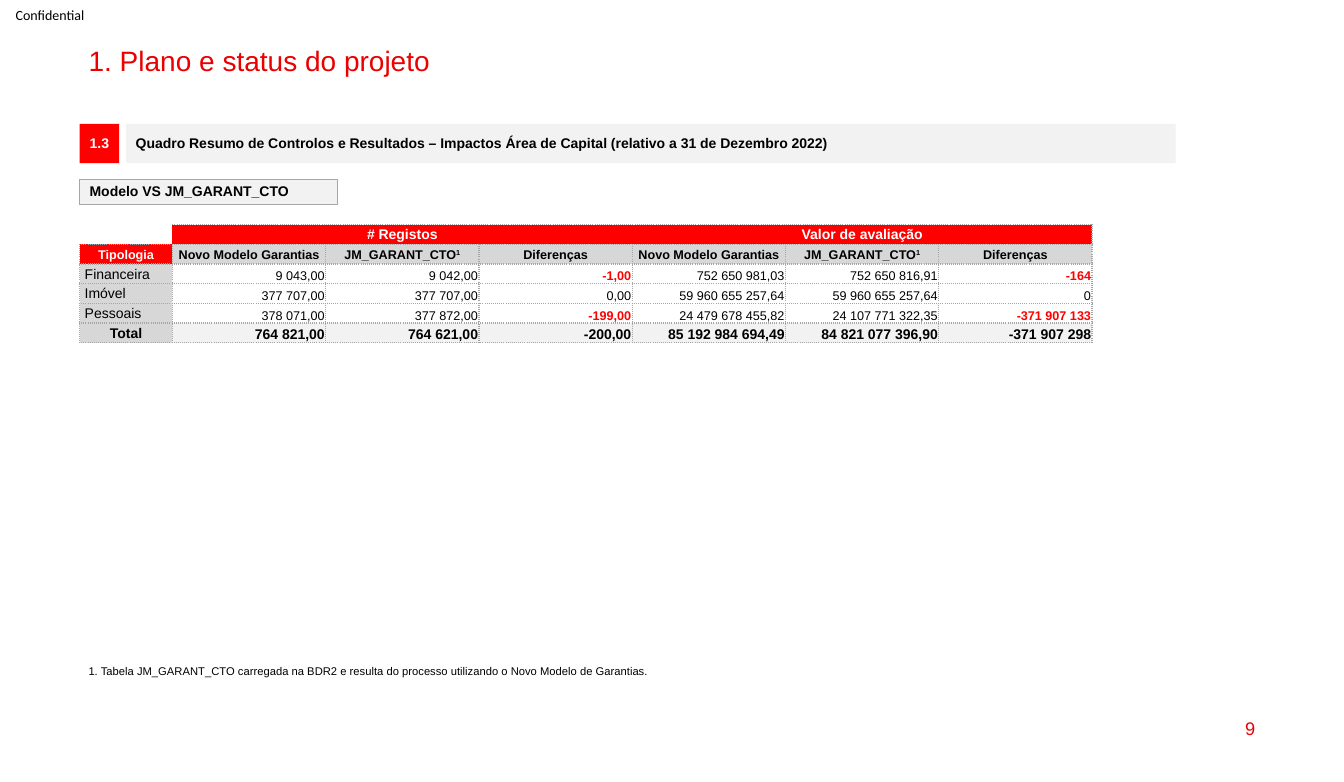
from lxml import etree
from pptx import Presentation
from pptx import util as u
from pptx.dml.color import RGBColor
from pptx.enum import shapes, text
from pptx.oxml.ns import qn

WIDTH, HEIGHT = u.Inches(13.33), u.Inches(7.76)
COLORS = {"title": "EB0000", "red": "FF0000", "white": "FFFFFF", "black": "000000",
          "pale": "F2F2F2", "label": "D7D7D7", "border": "A6A6A6"}
LEFT, CENTER, RIGHT = text.PP_ALIGN.LEFT, text.PP_ALIGN.CENTER, text.PP_ALIGN.RIGHT
TOP, MIDDLE, BOTTOM = (text.MSO_ANCHOR.TOP, text.MSO_ANCHOR.MIDDLE,
                       text.MSO_ANCHOR.BOTTOM)

GROUPS = ["# Registos", "Valor de avaliação"]
MEASURES = ["Novo Modelo Garantias", "JM_GARANT_CTO^1", "Diferenças"]
RECORDS = [
    ["Financeira", "9 043,00", "9 042,00", "-1,00",
     "752 650 981,03", "752 650 816,91", "-164"],
    ["Imóvel", "377 707,00", "377 707,00", "0,00",
     "59 960 655 257,64", "59 960 655 257,64", "0"],
    ["Pessoais", "378 071,00", "377 872,00", "-199,00",
     "24 479 678 455,82", "24 107 771 322,35", "-371 907 133"],
]
TOTAL = ["Total", "764 821,00", "764 621,00", "-200,00",
         "85 192 984 694,49", "84 821 077 396,90", "-371 907 298"]


def area(left, top, width, height):
    """Turn percentages of the slide into a box in EMU."""
    return (int(WIDTH * left / 100), int(HEIGHT * top / 100),
            int(WIDTH * width / 100), int(HEIGHT * height / 100))


def rgb(name):
    return RGBColor.from_string(COLORS[name])


def write(para, words, size, color="black", bold=False, align=LEFT, font="Arial"):
    """Add runs to a paragraph; the part after ^ is superscript."""
    para.alignment = align
    for index, part in enumerate(words.split("^")):
        span = para.add_run()
        span.text = part
        span.font.name, span.font.size, span.font.bold = font, u.Pt(size), bold
        span.font.color.rgb = rgb(color)
        if index:
            span.font._element.set("baseline", "30000")


def add_text(page, box, words, size, anchor=TOP, wrap=True, inset=0.1, **style):
    frame = page.shapes.add_textbox(*box).text_frame
    frame.word_wrap = wrap
    frame.vertical_anchor = anchor
    frame.margin_left = frame.margin_right = u.Inches(inset)
    frame.margin_top = frame.margin_bottom = u.Inches(inset / 2)
    write(frame.paragraphs[0], words, size, **style)


def add_panel(page, box, words, fill, line=None, color="black", align=LEFT):
    panel = page.shapes.add_shape(shapes.MSO_SHAPE.RECTANGLE, *box)
    panel.shadow.inherit = False
    panel.fill.solid()
    panel.fill.fore_color.rgb = rgb(fill)
    if line:
        panel.line.color.rgb = rgb(line)
        panel.line.width = u.Pt(0.75)
    else:
        panel.line.fill.background()
    frame = panel.text_frame
    frame.word_wrap = True
    frame.vertical_anchor = MIDDLE
    para = frame.paragraphs[0]
    para.line_spacing = 0.9
    write(para, words, 10, color, True, align)


def add_section_bar(page, box, number, heading):
    """Square numbered badge followed by a heading bar."""
    left, top, width, height = box
    offset = int(height * 1.17)
    add_panel(page, (left, top, height, height), number, "red",
              color="white", align=CENTER)
    add_panel(page, (left + offset, top, width - offset, height), heading, "pale")


def set_borders(cell, sides):
    """Dot the given sides (from L, R, T, B) and clear the others."""
    properties = cell._tc.get_or_add_tcPr()
    for side in "LRTB":
        line = etree.SubElement(properties, qn("a:ln" + side), w=str(u.Pt(1)))
        if side in sides:
            fill = etree.SubElement(line, qn("a:solidFill"))
            etree.SubElement(fill, qn("a:srgbClr"), val=COLORS["border"])
            etree.SubElement(line, qn("a:prstDash"), val="sysDot")
        else:
            etree.SubElement(line, qn("a:noFill"))


def fill_cell(cell, words, fill, size=9, anchor=MIDDLE, indent=0.01, **style):
    cell.fill.solid()
    cell.fill.fore_color.rgb = rgb(fill)
    cell.vertical_anchor = anchor
    cell.margin_left = u.Inches(indent)
    write(cell.text_frame.paragraphs[0], words, size, **style)


def add_summary_table(page, box):
    left, top, width, height = box
    row_count, column_count = len(RECORDS) + 3, 1 + len(GROUPS) * len(MEASURES)
    table = page.shapes.add_table(row_count, column_count, *box).table
    table.first_row = table.horz_banding = False
    label_width = int(width * 0.0916)
    for index, column in enumerate(table.columns):
        column.width = (width - label_width) // (column_count - 1) if index else label_width
    for row_index, row in enumerate(table.rows):
        row.height = height // row_count
        for column_index, cell in enumerate(row.cells):
            cell.margin_left = cell.margin_right = cell.margin_top = u.Inches(0.01)
            cell.margin_bottom = 0
            corner = row_index == column_index == 0
            set_borders(cell, "B" if corner else "RTB" if row_index == 0 else "LRTB")

    corner = table.cell(0, 0)
    corner.fill.background()
    corner.text_frame.paragraphs[0].font.size = u.Pt(9)
    for index, group in enumerate(GROUPS):
        first = 1 + index * len(MEASURES)
        cell = table.cell(0, first)
        cell.merge(table.cell(0, first + len(MEASURES) - 1))
        fill_cell(cell, group, "red", 10, color="white", bold=True, align=CENTER)
    fill_cell(table.cell(1, 0), "Tipologia", "red", color="white", bold=True, align=CENTER)
    for column, measure in enumerate(MEASURES * len(GROUPS), 1):
        fill_cell(table.cell(1, column), measure, "label", bold=True, align=CENTER)

    for row, (label, *values) in enumerate(RECORDS, 2):
        fill_cell(table.cell(row, 0), label, "label", 10, indent=0.05)
        for column, value in enumerate(values, 1):
            negative = value.startswith("-")
            fill_cell(table.cell(row, column), value, "white", anchor=BOTTOM, align=RIGHT,
                      color="red" if negative else "black", bold=negative)
    for column, value in enumerate(TOTAL):
        cell = table.cell(row_count - 1, column)
        if column:
            fill_cell(cell, value, "pale", 10, BOTTOM, bold=True, align=RIGHT)
        else:
            fill_cell(cell, value, "label", 10, bold=True, align=CENTER)


def add_page_frame(page):
    add_text(page, area(0, 0, 7.43, 3.74), "Confidential", 10, MIDDLE, False, 0,
             align=CENTER, font="Calibri")
    add_text(page, area(5.85, 4.9, 88.3, 4.38), "1. Plano e status do projeto", 20,
             color="title")
    add_text(page, area(71.64, 90.46, 22.5, 5.28), "9", 13, MIDDLE,
             color="title", align=RIGHT)


def main():
    deck = Presentation()
    deck.slide_width, deck.slide_height = WIDTH, HEIGHT
    page = deck.slides.add_slide(deck.slide_layouts[6])
    add_page_frame(page)
    add_section_bar(page, area(5.93, 15.85, 81.55, 5.03), "1.3",
                    "Quadro Resumo de Controlos e Resultados – Impactos Área de Capital "
                    "(relativo a 31 de Dezembro 2022)")
    add_panel(page, area(5.93, 22.94, 19.2, 3.22), "Modelo VS JM_GARANT_CTO",
              "pale", "border")
    add_summary_table(page, area(5.93, 28.74, 75.32, 15.08))
    add_text(page, area(5.85, 84.28, 43.74, 3.09),
             "1. Tabela JM_GARANT_CTO carregada na BDR2 e resulta do processo "
             "utilizando o Novo Modelo de Garantias.", 8, wrap=False)
    deck.save("out.pptx")


if __name__ == "__main__":
    main()
